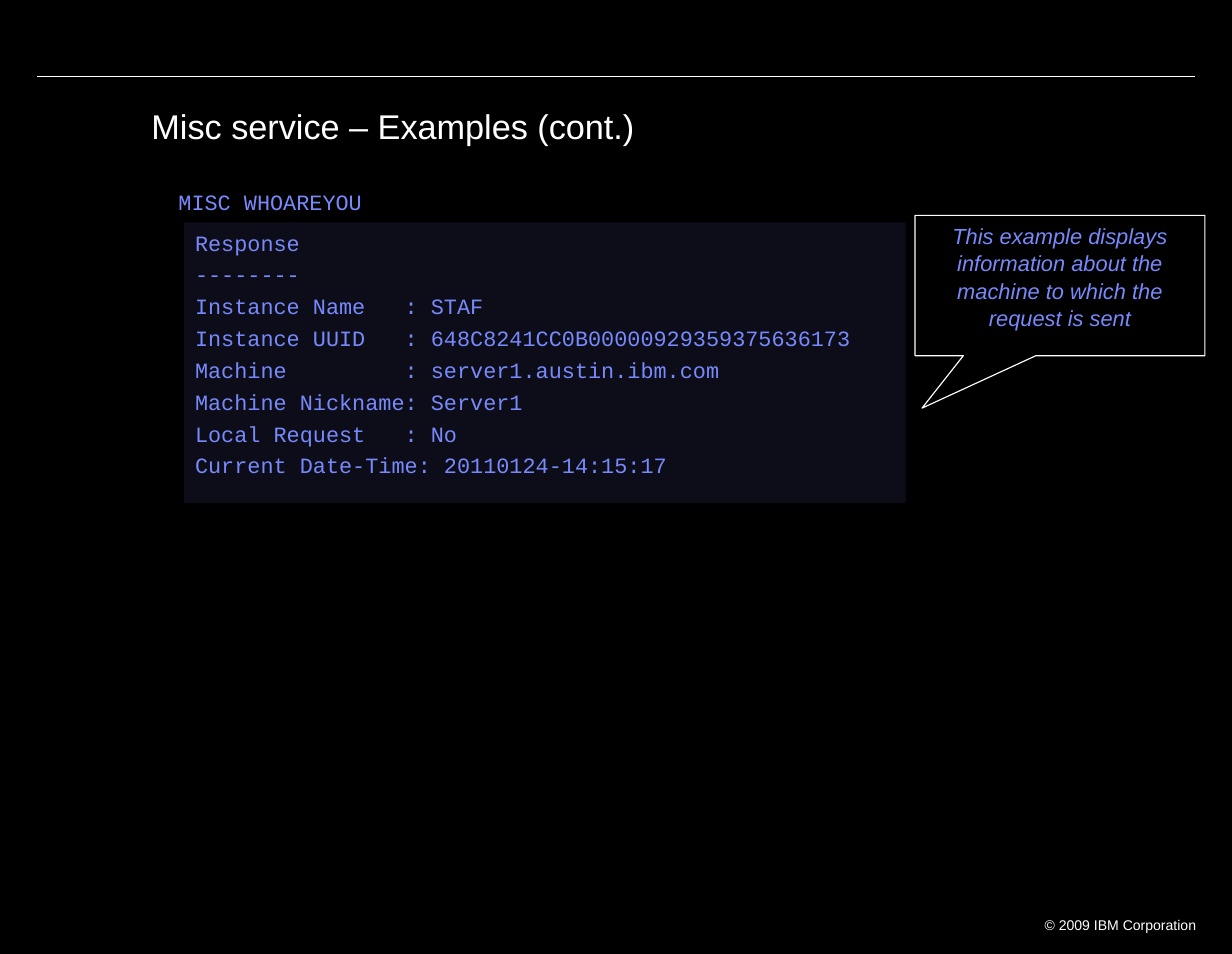
from lxml.etree import SubElement
from pptx import Presentation
from pptx.dml.color import RGBColor
from pptx.enum.shapes import MSO_CONNECTOR, MSO_SHAPE
from pptx.enum.text import MSO_ANCHOR, MSO_AUTO_SIZE, PP_ALIGN
from pptx.oxml.ns import qn
from pptx.util import Pt

WHITE, BLACK, BLUE = "FFFFFF", "000000", "7889FB"


def paint(color_format, hex_color):
    color_format.rgb = RGBColor.from_string(hex_color)


def write(shape, lines, font, size, color, insets, align=PP_ALIGN.LEFT,
          spacing=1.0, after=0, italic=False):
    frame = shape.text_frame
    frame.word_wrap = True
    frame.auto_size = MSO_AUTO_SIZE.NONE
    frame.vertical_anchor = MSO_ANCHOR.TOP
    frame.margin_left = frame.margin_right = Pt(insets[0])
    frame.margin_top = frame.margin_bottom = Pt(insets[1])
    frame.text = "\n".join(lines)
    for paragraph in frame.paragraphs:
        paragraph.alignment = align
        paragraph.line_spacing = spacing
        paragraph.space_after = Pt(after)
        paragraph.font.name = font
        paragraph.font.size = Pt(size)
        paragraph.font.italic = italic
        paint(paragraph.font.color, color)


prs = Presentation()
prs.slide_width, prs.slide_height = Pt(790.56), Pt(612)
slide = prs.slides.add_slide(prs.slide_layouts[5])
slide.background.fill.solid()
paint(slide.background.fill.fore_color, BLACK)
shapes = slide.shapes

# Header rule
header_rule = shapes.add_connector(
    MSO_CONNECTOR.STRAIGHT, Pt(23.8), Pt(49), Pt(766.8), Pt(49))
header_rule.line.width = Pt(0.75)
paint(header_rule.line.color, WHITE)
SubElement(header_rule._element.spPr, qn("a:effectLst"))

# Copyright
copyright_line = shapes.add_textbox(Pt(656.6), Pt(583.9), Pt(118.8), Pt(16.6))
write(copyright_line, ["© 2009 IBM Corporation"], "Arial", 9, WHITE,
      (7.9, 4.3), align=PP_ALIGN.RIGHT)

# Title
title = shapes.title
title.left, title.top, title.width, title.height = (
    Pt(89.3), Pt(66.2), Pt(692), Pt(44.6))
write(title, ["Misc service – Examples (cont.)"], "Arial", 22, WHITE,
      (7.9, 4.3), spacing=0.9)

# Command
command = shapes.add_textbox(Pt(114.5), Pt(120.2), Pt(660), Pt(16.6))
write(command, ["MISC WHOAREYOU"], "Courier New", 14, BLUE, (0, 0),
      spacing=1.06)

# Response on a tinted panel
response = shapes.add_shape(
    MSO_SHAPE.RECTANGLE, Pt(118.1), Pt(142.6), Pt(463), Pt(180))
response.shadow.inherit = False
response.fill.solid()
paint(response.fill.fore_color, BLUE)
tint = response._element.spPr.find(qn("a:solidFill"))[0]
SubElement(tint, qn("a:alpha"), val="10000")
response.line.fill.background()
write(response, [
    "Response",
    "--------",
    "Instance Name   : STAF",
    "Instance UUID   : 648C8241CC0B00000929359375636173",
    "Machine         : server1.austin.ibm.com",
    "Machine Nickname: Server1",
    "Local Request   : No",
    "Current Date-Time: 20110124-14:15:17",
], "Courier New", 14, BLUE, (7.2, 3.6), spacing=1.06, after=2.6)

# Explanation callout
explanation = shapes.add_shape(
    MSO_SHAPE.RECTANGULAR_CALLOUT, Pt(587.2), Pt(138.2), Pt(186), Pt(90))
explanation.shadow.inherit = False
explanation.adjustments[0] = -0.476
explanation.adjustments[1] = 0.874
explanation.fill.solid()
paint(explanation.fill.fore_color, BLACK)
explanation.line.width = Pt(0.75)
paint(explanation.line.color, WHITE)
write(explanation, ["This example displays information about the machine "
                    "to which the request is sent"], "Arial", 14, BLUE,
      (7.2, 3.6), align=PP_ALIGN.CENTER, spacing=1.05, italic=True)

prs.save("out.pptx")
